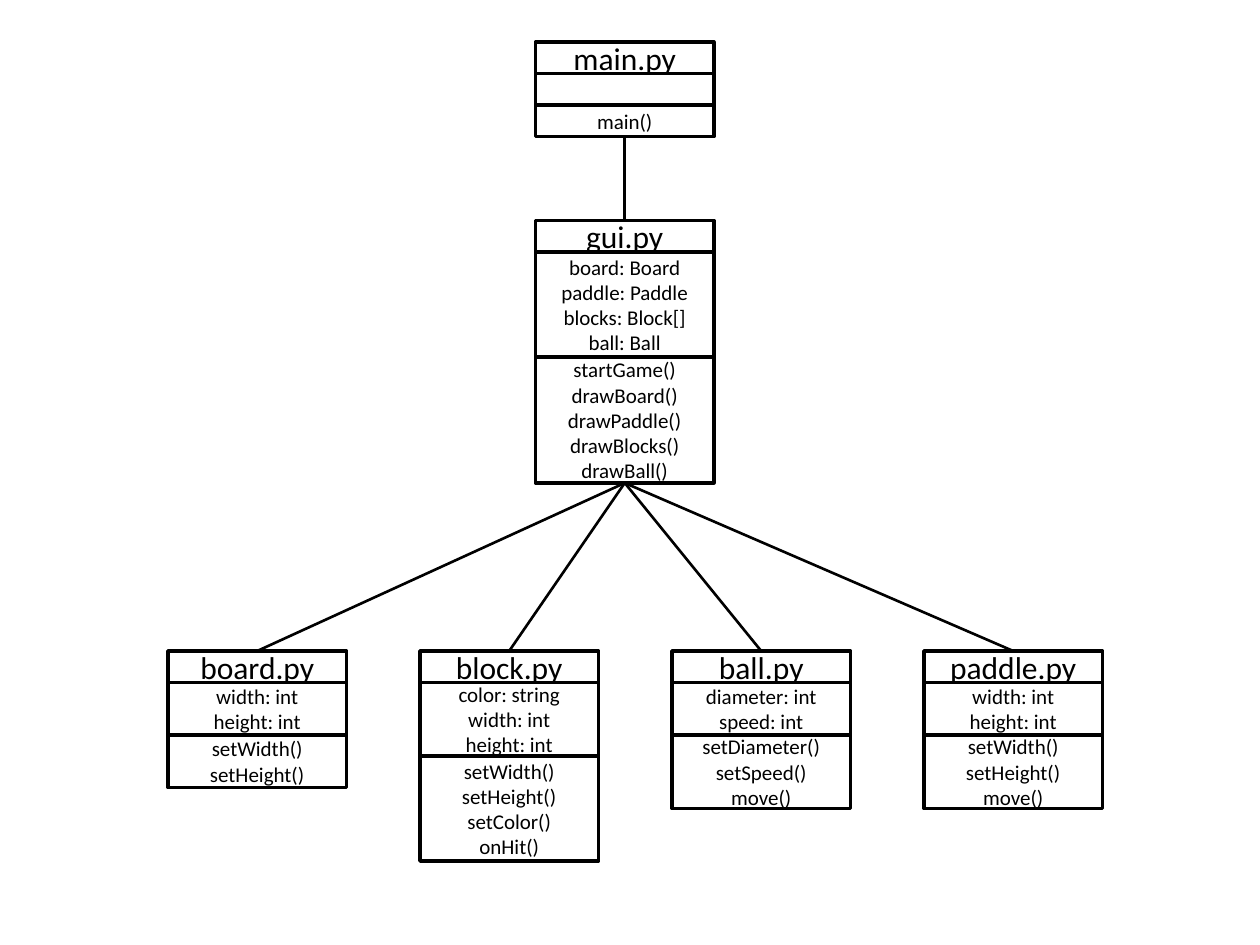
from lxml import etree
from pptx import Presentation
from pptx.dml.color import RGBColor
from pptx.enum.shapes import MSO_CONNECTOR, MSO_SHAPE
from pptx.enum.text import MSO_ANCHOR, PP_ALIGN
from pptx.oxml.ns import qn
from pptx.util import Pt

RECT = MSO_SHAPE.RECTANGLE
LINE = MSO_CONNECTOR.STRAIGHT
MIDDLE = MSO_ANCHOR.MIDDLE
CENTER = PP_ALIGN.CENTER
COLORS = {"ink": "000000", "paper": "FFFFFF"}
INK = RGBColor.from_string(COLORS["ink"])
PAPER = RGBColor.from_string(COLORS["paper"])
WIDTH = 102
UNIT = 6
TITLE = 18

deck = Presentation()
deck.slide_width, deck.slide_height = Pt(720), Pt(540)
slide = deck.slides.add_slide(deck.slide_layouts[6])


def write(frame, lines, size=12, font="Calibri", color=INK, align=CENTER):
    frame.word_wrap = True
    frame.vertical_anchor = MIDDLE
    for index, line in enumerate(lines):
        para = frame.paragraphs[0] if index == 0 else frame.add_paragraph()
        para.alignment = align
        run = para.add_run()
        run.text = line
        run.font.size = Pt(size)
        run.font.name = font
        run.font.color.rgb = color


classes = [
    ("main.py", 306, 24, [], ["main()"]),
    ("gui.py", 306, 126,
     ["board: Board", "paddle: Paddle", "blocks: Block[]", "ball: Ball"],
     ["startGame()", "drawBoard()", "drawPaddle()", "drawBlocks()", "drawBall()"]),
]
parts = [
    ("board.py", ["width: int", "height: int"], ["setWidth()", "setHeight()"]),
    ("block.py", ["color: string", "width: int", "height: int"],
     ["setWidth()", "setHeight()", "setColor()", "onHit()"]),
    ("ball.py", ["diameter: int", "speed: int"],
     ["setDiameter()", "setSpeed()", "move()"]),
    ("paddle.py", ["width: int", "height: int"],
     ["setWidth()", "setHeight()", "move()"]),
]
for index, (name, fields, methods) in enumerate(parts):
    classes.append((name, 96 + 144 * index, 372, fields, methods))

ports = {}
for name, left, top, fields, methods in classes:
    group = slide.shapes.add_group_shape()
    base = top
    for lines, size in (([name], 18), (fields, 12), (methods, 12)):
        height = max(TITLE, UNIT * round(2.4 * len(lines)))
        box = group.shapes.add_shape(RECT, Pt(left), Pt(base), Pt(WIDTH), Pt(height))
        box.shadow.inherit = False
        box.fill.solid()
        box.fill.fore_color.rgb = PAPER
        box.line.color.rgb = INK
        box.line.width = Pt(2)
        if lines:
            write(box.text_frame, lines, size=size)
        base += height
    ports[name] = (left + WIDTH / 2, top, base)

links = [("main.py", "gui.py")] + [("gui.py", part[0]) for part in parts]
for parent, child in links:
    start, _, bottom = ports[parent]
    end, top, _ = ports[child]
    link = slide.shapes.add_connector(LINE, Pt(start), Pt(bottom), Pt(end), Pt(top))
    link.line.color.rgb = INK
    link.line.width = Pt(1.5)
    etree.SubElement(link._element.spPr, qn("a:effectLst"))

deck.save("out.pptx")
